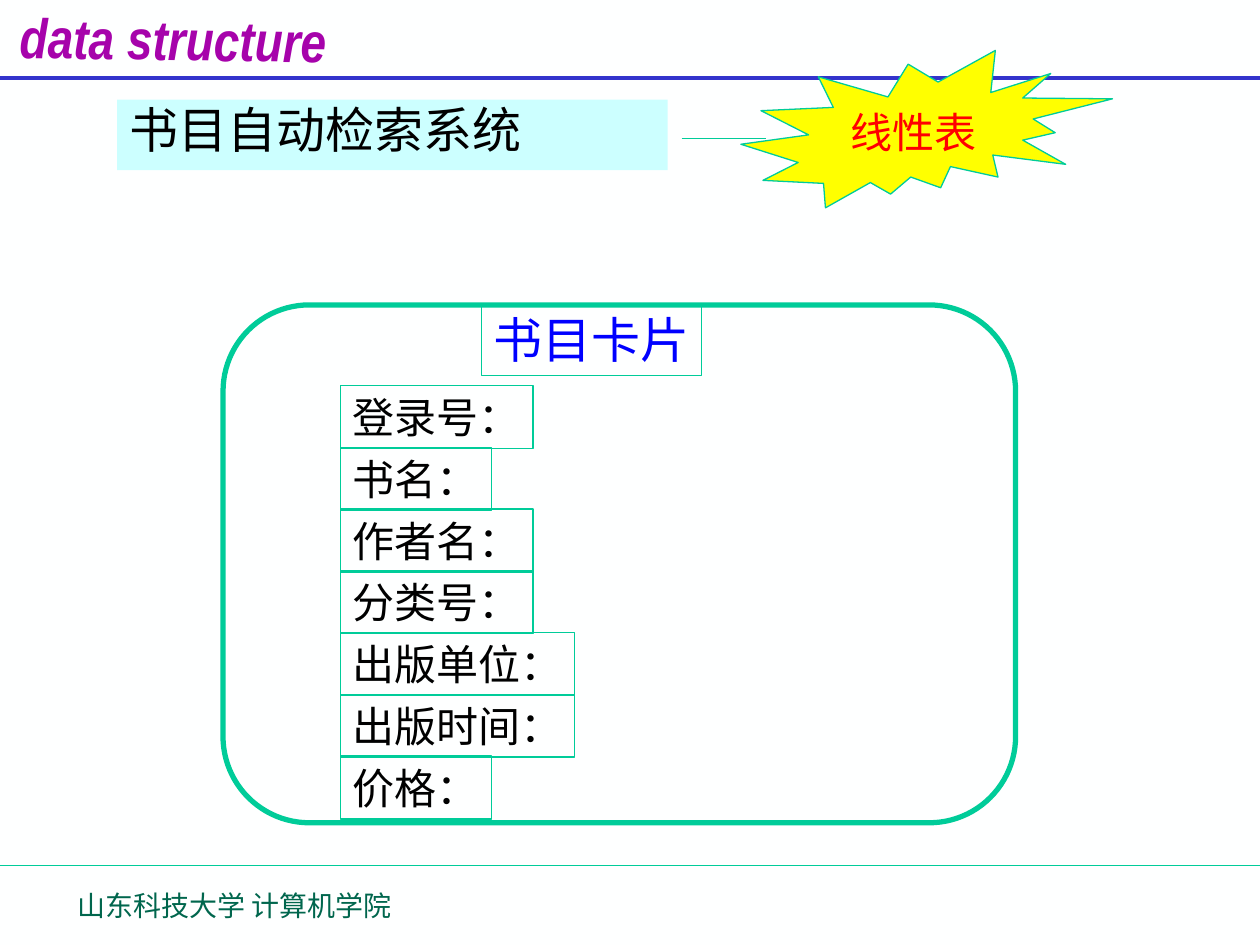
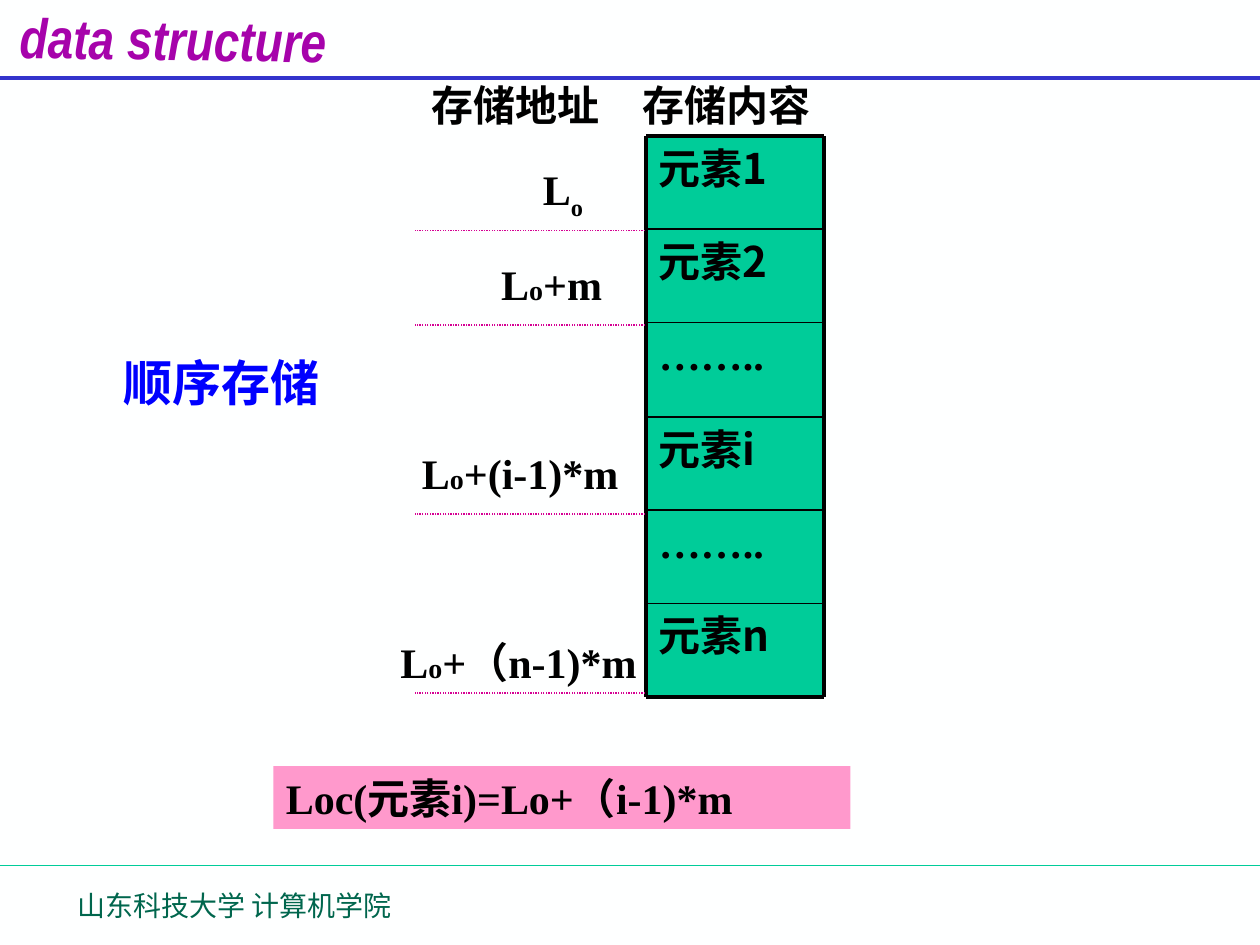
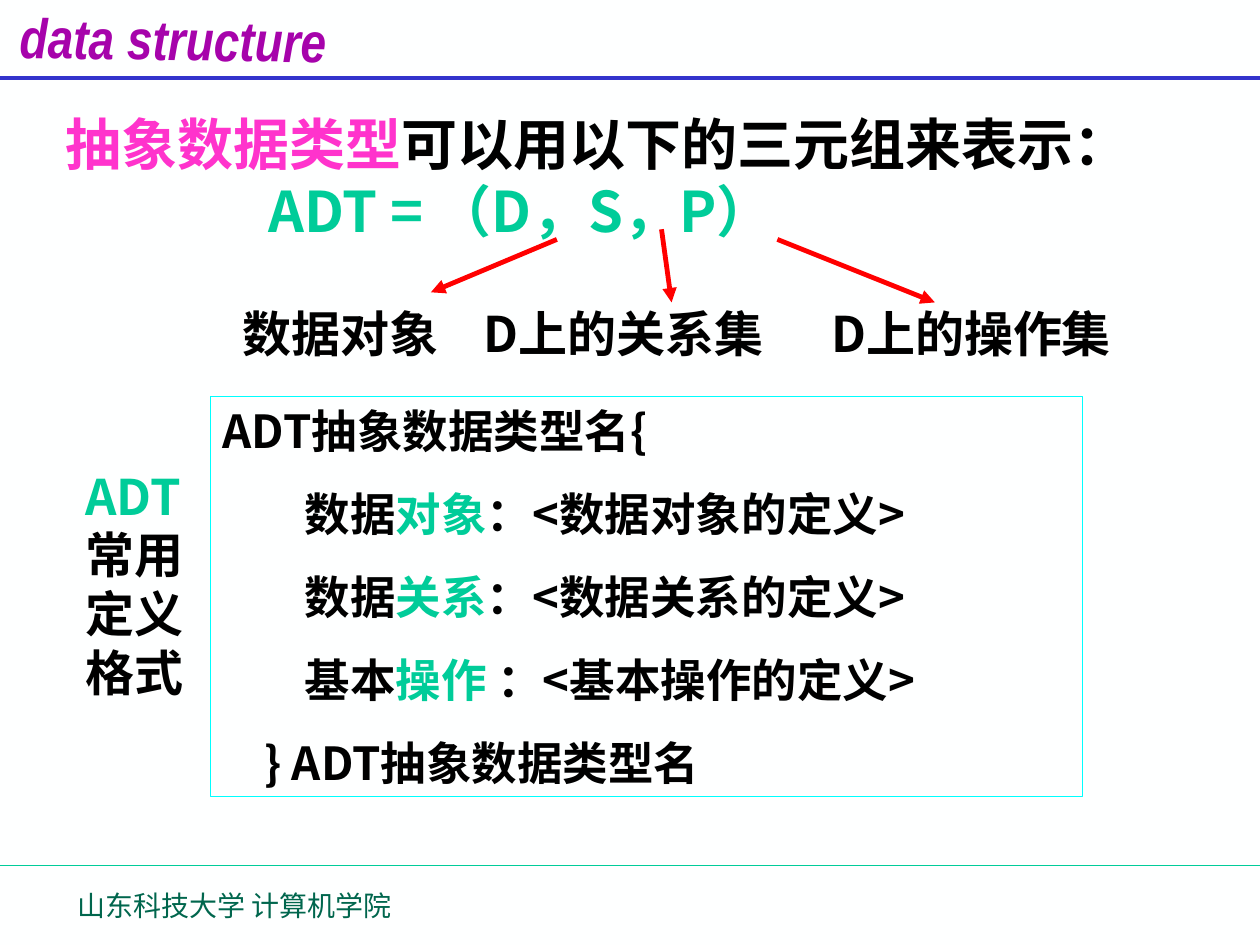
"""Build three data structure lecture slides: book cards, sequential storage and ADT notation."""
from lxml import etree
from pptx import Presentation
from pptx.dml.color import RGBColor
from pptx.enum.dml import MSO_LINE
from pptx.enum.shapes import MSO_CONNECTOR, MSO_SHAPE
from pptx.enum.text import MSO_ANCHOR, PP_ALIGN
from pptx.oxml.ns import qn
from pptx.util import Emu, Pt

SCALE = 9144
RECTANGLE = MSO_SHAPE.RECTANGLE
ROUNDED = MSO_SHAPE.ROUNDED_RECTANGLE
BURST = MSO_SHAPE.EXPLOSION2
STRAIGHT = MSO_CONNECTOR.STRAIGHT
DOTTED = MSO_LINE.ROUND_DOT
TOP, MIDDLE = MSO_ANCHOR.TOP, MSO_ANCHOR.MIDDLE
LEFT, CENTER = PP_ALIGN.LEFT, PP_ALIGN.CENTER

PAPER = RGBColor(0xFE, 0xFF, 0xFF)
BLACK = RGBColor(0x00, 0x00, 0x00)
GREEN = RGBColor(0x00, 0xCC, 0x99)
DARK_GREEN = RGBColor(0x00, 0x66, 0x4D)
INDIGO = RGBColor(0x33, 0x33, 0xCC)
PURPLE = RGBColor(0xA6, 0x03, 0xAB)
PALE_CYAN = RGBColor(0xCC, 0xFF, 0xFF)
CYAN = RGBColor(0x00, 0xFF, 0xFF)
BLUE = RGBColor(0x00, 0x00, 0xFF)
YELLOW = RGBColor(0xFF, 0xFF, 0x00)
RED = RGBColor(0xFF, 0x00, 0x00)
MAGENTA = RGBColor(0xD6, 0x00, 0x93)
ROSE = RGBColor(0xFF, 0x99, 0xCC)
PINK = RGBColor(0xFF, 0x33, 0xCC)

SERIF = "Times New Roman"
SANS = "Noto Sans CJK SC"
NARROW = "Arial Narrow"


def add_box(page, frame, paragraphs=(), size=24, font=SERIF, bold=False, preset=None,
            fill=None, line=None, weight=0.75, wrap=True):
    """Add a text box or preset shape; each paragraph is a list of (text, colour) pairs."""
    place = [Emu(length * SCALE) for length in frame]
    if preset is None:
        box = page.shapes.add_textbox(*place)
    else:
        box = page.shapes.add_shape(preset, *place)
        box.shadow.inherit = False
    if fill is None:
        box.fill.background()
    else:
        box.fill.solid()
        box.fill.fore_color.rgb = fill
    if line is None:
        box.line.fill.background()
    else:
        box.line.color.rgb = line
        box.line.width = Pt(weight)
    text_frame = box.text_frame
    text_frame.word_wrap = wrap
    text_frame.vertical_anchor = TOP
    for number, pieces in enumerate(paragraphs):
        para = text_frame.add_paragraph() if number else text_frame.paragraphs[0]
        para.alignment = LEFT
        for text, colour in pieces:
            span = para.add_run()
            span.text = text
            span.font.name = font
            span.font.size = Pt(size)
            span.font.bold = bold
            span.font.color.rgb = colour
    return box


def add_line(page, start, end, colour, weight):
    """Add a straight connector without a shadow."""
    points = [Emu(length * SCALE) for length in (*start, *end)]
    connector = page.shapes.add_connector(STRAIGHT, *points)
    connector.line.color.rgb = colour
    connector.line.width = Pt(weight)
    etree.SubElement(connector._element.spPr, qn("a:effectLst"))
    return connector


deck = Presentation()
deck.slide_width = Emu(1000 * SCALE)
deck.slide_height = Emu(750 * SCALE)

for _ in range(3):
    page = deck.slides.add_slide(deck.slide_layouts[6])
    page.background.fill.solid()
    page.background.fill.fore_color.rgb = PAPER
    add_line(page, (0, 687), (1000, 687), GREEN, 0.75)
    add_line(page, (0, 62), (1000, 62), INDIGO, 2.25)
    banner = add_box(page, (6, -1, 300, 54), [[("data structure", PURPLE)]], 32, NARROW, True)
    banner.rotation = 0.8
    banner.text_frame.paragraphs[0].runs[0].font.italic = True
    add_box(page, (52, 700, 414, 50), [[("山东科技大学 计算机学院", DARK_GREEN)]], 16, SANS)

catalogue_page, storage_page, adt_page = deck.slides

heading = add_box(catalogue_page, (93, 79, 437, 56), [[("书目自动检索系统", BLACK)]], 28,
                  preset=RECTANGLE, fill=PALE_CYAN)
heading.text_frame.paragraphs[0].line_spacing = 0.9
add_box(catalogue_page, (177, 242, 629, 411), preset=ROUNDED, fill=PAPER, line=GREEN, weight=3)
fields = ["登录号：", "书名：", "作者名：", "分类号：", "出版单位：", "出版时间：", "价格："]
for row, field in enumerate(fields):
    add_box(catalogue_page, (270, 306 + 49 * row, 21 + 33 * len(field), 50), [[(field, BLACK)]],
            preset=RECTANGLE, line=GREEN, wrap=False)
add_box(catalogue_page, (382, 241, 175, 57), [[("书目卡片", BLUE)]], 28,
        preset=RECTANGLE, line=GREEN, wrap=False)
burst = add_box(catalogue_page, (588, 40, 295, 125), [[("线性表", RED)]],
                preset=BURST, fill=YELLOW, line=GREEN, wrap=False)
burst.text_frame.vertical_anchor = MIDDLE
burst.text_frame.paragraphs[0].alignment = CENTER
add_line(catalogue_page, (541, 110), (608, 110), GREEN, 0.75)

cells = ["元素1", "元素2", "……..", "元素i", "……..", "元素n"]
cell_left, cell_right = 513, 654
cell_edges = [108 + round(74.2 * row) for row in range(len(cells) + 1)]
for cell, top, bottom in zip(cells, cell_edges, cell_edges[1:]):
    add_box(storage_page, (cell_left, top, cell_right - cell_left, bottom - top), [[(cell, BLACK)]],
            font=SERIF if cell.startswith("…") else SANS, bold=True, preset=RECTANGLE, fill=GREEN)
for edge in cell_edges:
    outer = edge in (cell_edges[0], cell_edges[-1])
    add_line(storage_page, (cell_left, edge), (cell_right, edge), BLACK, 2.25 if outer else 1)
for side in (cell_left, cell_right):
    add_line(storage_page, (side, cell_edges[0]), (side, cell_edges[-1]), BLACK, 2.25)

addresses = [
    ((421, 125, 83, 56), "", 183),
    ((388, 200, 117, 50), "+m", 258),
    ((325, 350, 213, 50), "+(i-1)*m", 408),
    ((308, 500, 208, 90), "+（n-1)*m", 550),
]
for frame, offset, level in addresses:
    pieces = [(text, BLACK) for text in ("L", "o", offset) if text]
    label = add_box(storage_page, frame, [pieces], bold=True)
    base_index = label.text_frame.paragraphs[0].runs[1]
    if offset:
        base_index.font.size = Pt(16)
    else:
        base_index.font._element.set("baseline", "-25000")
    guide = add_line(storage_page, (512, level), (329, level), MAGENTA, 0.75)
    guide.line.dash_style = DOTTED
add_box(storage_page, (333, 58, 171, 50), [[("存储地址", BLACK)]], bold=True)
add_box(storage_page, (500, 58, 158, 50), [[("存储内容", BLACK)]], bold=True)
add_box(storage_page, (217, 608, 458, 50), [[("Loc(元素i)=Lo+（i-1)*m", BLACK)]], bold=True,
        preset=RECTANGLE, fill=ROSE)
add_box(storage_page, (88, 275, 175, 57), [[("顺序存储", BLUE)]], 28, bold=True, wrap=False)

triple = add_box(adt_page, (42, 82, 917, 210), [
    [("抽象数据类型", PINK), ("可以用以下的三元组来表示：", BLACK)],
    [("ADT = （D，S，P）", GREEN)],
    [("\t数据对象\tD上的关系集\tD上的操作集", BLACK)],
], 32, SANS, True)
formula, meanings = triple.text_frame.paragraphs[1:]
formula._p.get_or_add_pPr().set("marL", str(161 * SCALE))
meanings.space_before = Pt(34)
meanings.runs[0].font.size = Pt(28)
tab_list = etree.SubElement(meanings._p.get_or_add_pPr(), qn("a:tabLst"))
for position in (141, 332, 608):
    etree.SubElement(tab_list, qn("a:tab"), pos=str(position * SCALE), algn="l")

definition = add_box(adt_page, (167, 315, 692, 317), [
    [("ADT抽象数据类型名{", BLACK)],
    [("数据", BLACK), ("对象", GREEN), ("：<数据对象的定义>", BLACK)],
    [("数据", BLACK), ("关系", GREEN), ("：<数据关系的定义>", BLACK)],
    [("基本", BLACK), ("操作", GREEN), (" ：<基本操作的定义>", BLACK)],
    [("} ADT抽象数据类型名", BLACK)],
], 26, SANS, True, preset=RECTANGLE, line=CYAN)
for para, indent in zip(definition.text_frame.paragraphs[1:], (65, 65, 65, 33)):
    para.space_before = Pt(16.2)
    para._p.get_or_add_pPr().set("marL", str(indent * SCALE))

add_box(adt_page, (58, 365, 108, 197), [[("ADT", GREEN), ("常用定义格式", BLACK)]], 28, SANS, True)
for start, end in [((442, 190), (342, 232)), ((525, 182), (533, 240)), ((617, 190), (742, 240))]:
    arrow = add_line(adt_page, start, end, RED, 2.75)
    etree.SubElement(arrow.line._get_or_add_ln(), qn("a:tailEnd"), type="triangle")

deck.save("out.pptx")
